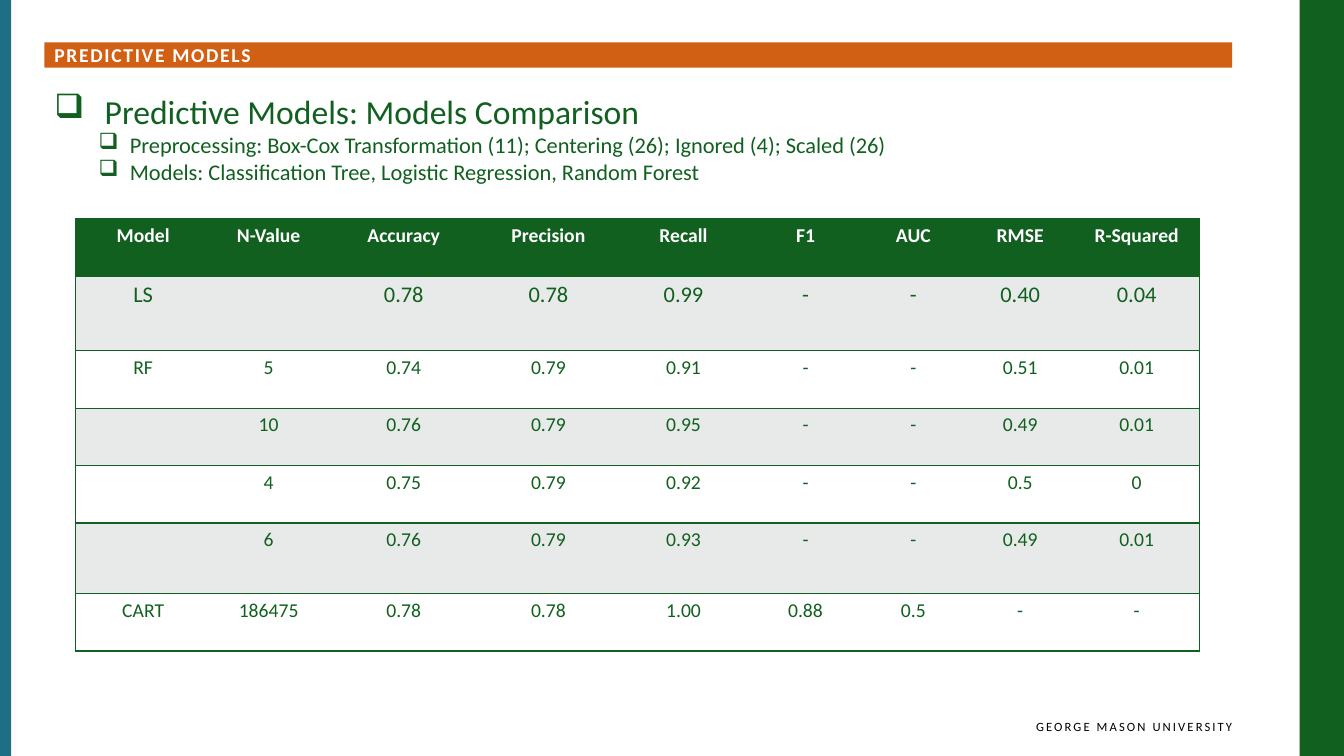
from lxml import etree
from pptx import Presentation
from pptx.dml.color import RGBColor
from pptx.enum.shapes import MSO_SHAPE as Shape
from pptx.enum.text import MSO_ANCHOR as Anchor, PP_ALIGN as Align
from pptx.oxml import parse_xml
from pptx.oxml.ns import nsdecls, qn
from pptx.util import Inches, Pt

COLORS = {"green": "116020", "teal": "1E6E86", "orange": "D26014",
          "band": "E7EAE8", "white": "FFFFFF", "black": "000000"}
NO_GRID_STYLE = "{2D5ABB26-0587-4C30-8999-92F81FD0307C}"

deck = Presentation()
deck.slide_width, deck.slide_height = Inches(13.33), Inches(7.5)
page = deck.slides.add_slide(deck.slide_layouts[6])


def add_bar(left, top, width, height, color):
    bar = page.shapes.add_shape(Shape.RECTANGLE, Inches(left), Inches(top),
                                Inches(width), Inches(height))
    bar.shadow.inherit = False
    bar.fill.solid()
    bar.fill.fore_color.rgb = RGBColor.from_string(COLORS[color])
    bar.line.fill.background()
    return bar


def style_text(para, size, color, bold=False, spacing=0):
    para.font.name = "Calibri"
    para.font.size = Pt(size)
    para.font.bold = bold
    para.font.color.rgb = RGBColor.from_string(COLORS[color])
    for span in para.runs:
        if spacing:
            span._r.get_or_add_rPr().set("spc", str(int(spacing * 100)))


add_bar(12.89, 0, 0.44, 7.5, "green")
add_bar(0, 0, 0.11, 7.5, "teal")

footer = page.shapes.add_textbox(Inches(6.78), Inches(7.08), Inches(5.44), Inches(0.33))
footer.text_frame.word_wrap = True
footer.text_frame.margin_right = 0
para = footer.text_frame.paragraphs[0]
para.text = "GEORGE MASON UNIVERSITY"
para.alignment = Align.RIGHT
style_text(para, 9, "black", spacing=1.5)

summary = page.shapes.add_textbox(Inches(0.44), Inches(0.85), Inches(11.92), Inches(1.15))
summary.text_frame.word_wrap = True
points = [
    (0, "Predictive Models: Models Comparison"),
    (1, "Preprocessing: Box-Cox Transformation (11); Centering (26); Ignored (4); Scaled (26)"),
    (1, "Models: Classification Tree, Logistic Regression, Random Forest"),
]
level_styles = [(24, 0.5, -0.5), (16, 0.75, -0.31)]
for index, (level, text) in enumerate(points):
    para = summary.text_frame.paragraphs[0] if index == 0 else summary.text_frame.add_paragraph()
    para.text = text
    para.level = level
    size, margin, indent = level_styles[level]
    properties = para._p.get_or_add_pPr()
    properties.set("marL", str(Inches(margin)))
    properties.set("indent", str(Inches(indent)))
    etree.SubElement(properties, qn("a:buChar")).set("char", "❑")
    style_text(para, size, "green")

heading = add_bar(0.44, 0.42, 11.78, 0.25, "orange")
frame = heading.text_frame
frame.word_wrap = True
frame.margin_top = frame.margin_bottom = 0
frame.vertical_anchor = Anchor.MIDDLE
para = frame.paragraphs[0]
para.text = "PREDICTIVE MODELS"
para.alignment = Align.LEFT
style_text(para, 14, "white", bold=True, spacing=1.2)

results = [
    ["Model", "N-Value", "Accuracy", "Precision", "Recall", "F1", "AUC", "RMSE", "R-Squared"],
    ["LS", "", "0.78", "0.78", "0.99", "-", "-", "0.40", "0.04"],
    ["RF", "5", "0.74", "0.79", "0.91", "-", "-", "0.51", "0.01"],
    ["", "10", "0.76", "0.79", "0.95", "-", "-", "0.49", "0.01"],
    ["", "4", "0.75", "0.79", "0.92", "-", "-", "0.5", "0"],
    ["", "6", "0.76", "0.79", "0.93", "-", "-", "0.49", "0.01"],
    ["CART", "186475", "0.78", "0.78", "1.00", "0.88", "0.5", "-", "-"],
]
column_widths = [1.34, 1.15, 1.53, 1.34, 1.34, 1.08, 1.06, 1.06, 1.25]
row_heights = [0.57, 0.74, 0.57, 0.57, 0.57, 0.7, 0.57]
table = page.shapes.add_table(len(row_heights), len(column_widths), Inches(0.75), Inches(2.17),
                              Inches(11.16), Inches(4.32)).table
table._tbl.tblPr.find(qn("a:tableStyleId")).text = NO_GRID_STYLE
for column, width in zip(table.columns, column_widths):
    column.width = Inches(width)
for row, height in zip(table.rows, row_heights):
    row.height = Inches(height)

last_column = len(column_widths) - 1
for row_index, values in enumerate(results):
    is_header = row_index == 0
    fill = "green" if is_header else "band" if row_index % 2 else "white"
    for column_index, value in enumerate(values):
        cell = table.cell(row_index, column_index)
        sides = ["lnT", "lnB"]
        if column_index == 0:
            sides.insert(0, "lnL")
        elif column_index == last_column:
            sides.insert(0, "lnR")
        for side in sides:
            cell._tc.get_or_add_tcPr().append(parse_xml(
                f'<a:{side} {nsdecls("a")} w="{Pt(1)}"><a:solidFill>'
                f'<a:srgbClr val="{COLORS["green"]}"/></a:solidFill></a:{side}>'))
        cell.fill.solid()
        cell.fill.fore_color.rgb = RGBColor.from_string(COLORS[fill])
        para = cell.text_frame.paragraphs[0]
        para.text = value
        para.alignment = Align.CENTER
        style_text(para, 16 if row_index == 1 else 14,
                   "white" if is_header else "green", bold=is_header)

deck.save("out.pptx")
